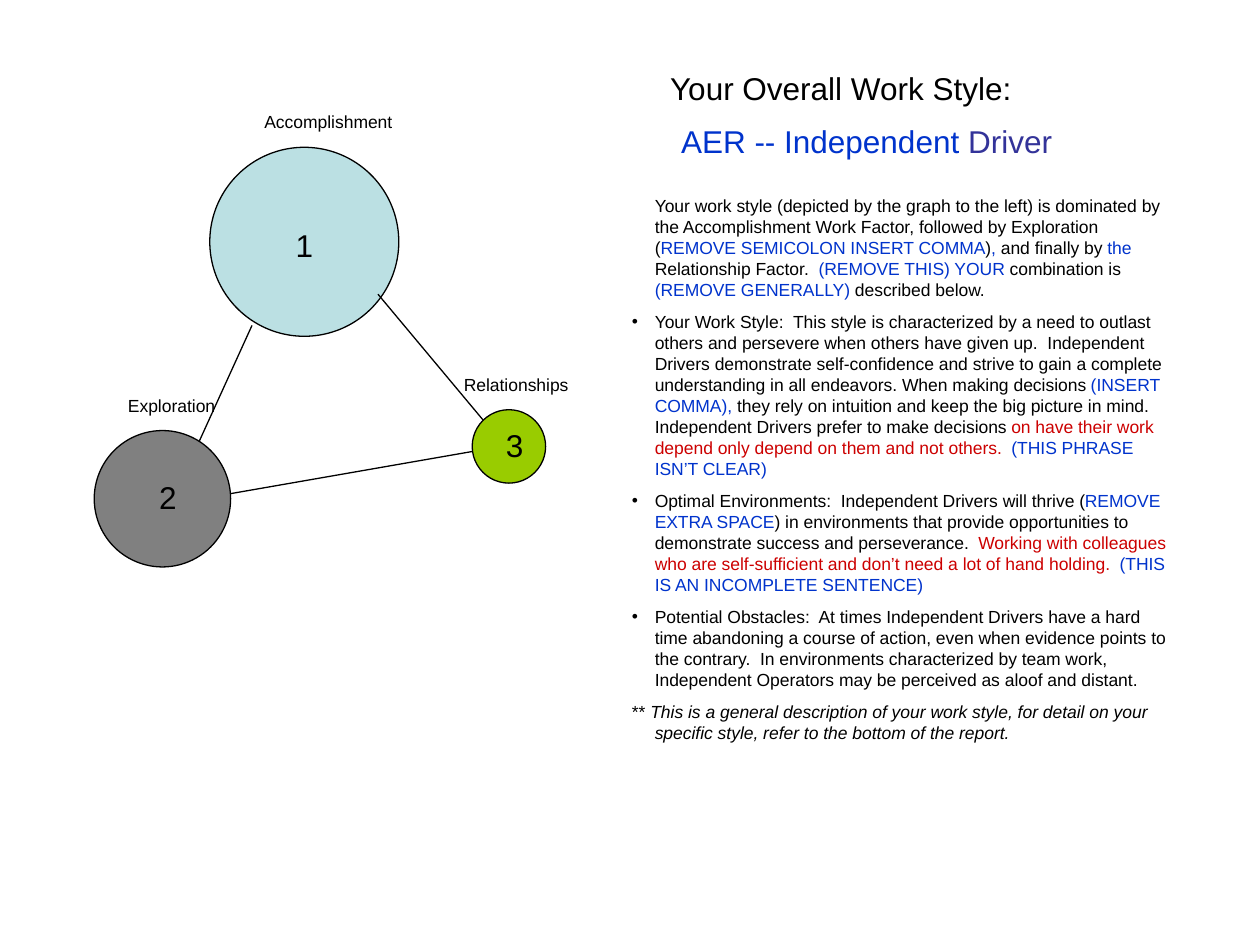
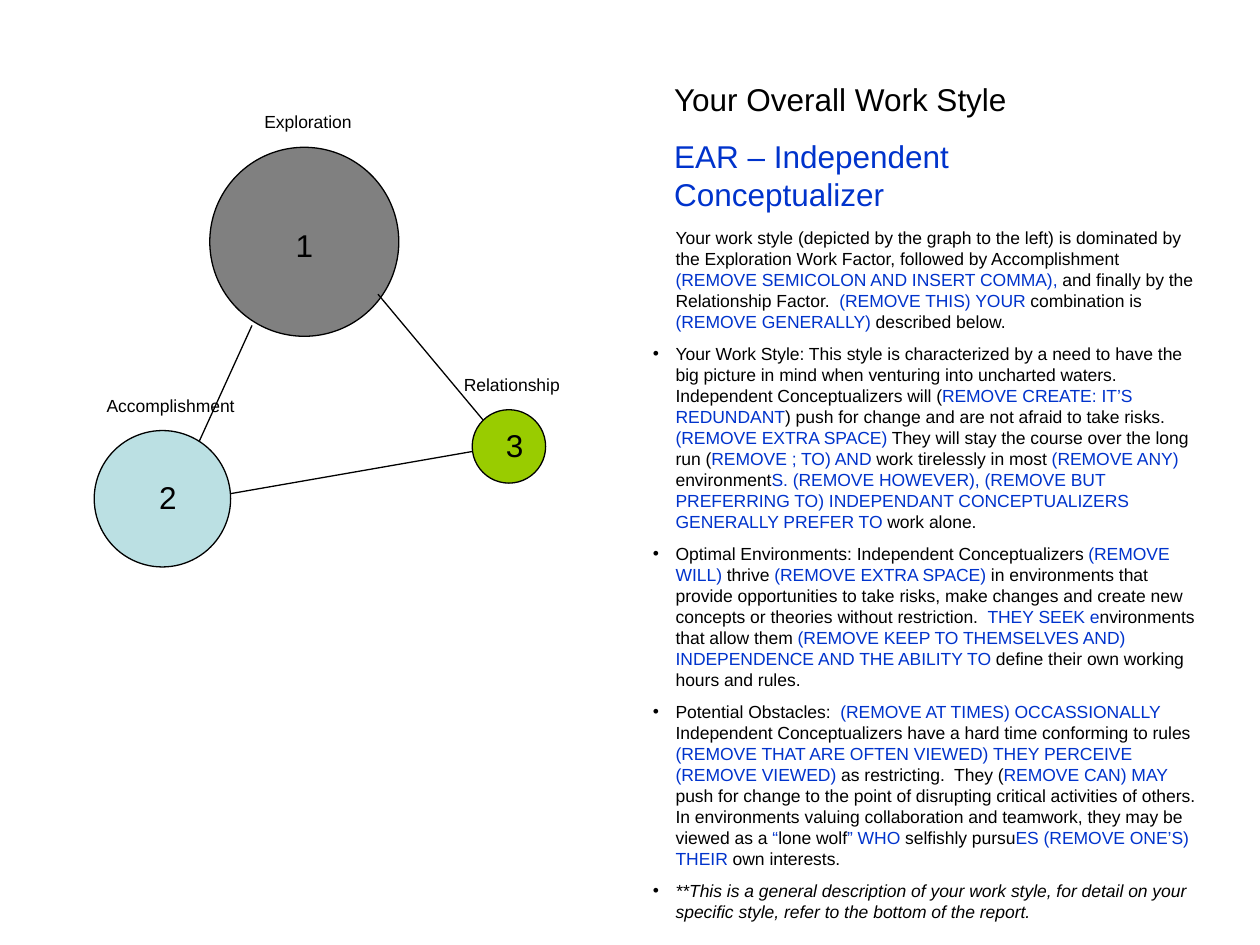
import collections

import lxml.etree
import pptx
import pptx.dml.color
import pptx.enum.shapes
import pptx.enum.text
import pptx.oxml.ns
import pptx.util

Cm = pptx.util.Cm
Pt = pptx.util.Pt
RGBColor = pptx.dml.color.RGBColor

BLACK = RGBColor(0x00, 0x00, 0x00)
BLUE = RGBColor(0x00, 0x33, 0xCC)
INDIGO = RGBColor(0x33, 0x33, 0x99)
RED = RGBColor(0xCC, 0x00, 0x00)
PALE_TEAL = RGBColor(0xBB, 0xE0, 0xE3)
GREY = RGBColor(0x80, 0x80, 0x80)
GREEN = RGBColor(0x99, 0xCC, 0x00)

FONT = "Arial"
BODY_SIZE = 10
TITLE_SIZE = 18
HANG = Cm(0.46)
PLAIN, INTRO, BULLET, HANGING = range(4)

Box = collections.namedtuple("Box", "left top width height")
Factor = collections.namedtuple("Factor", "name colour label_left label_width")
Circle = collections.namedtuple("Circle", "left top size label_top number_left number_top")

GRAPH = Box(1.9, 2.12, 9.11, 9.31)
CIRCLES = [
    Circle(2.33, 0.85, 3.81, 0, 3.81, 2.32),
    Circle(0, 6.56, 2.75, 5.71, 1.06, 7.4),
    Circle(7.62, 6.14, 1.48, 5.29, 8.05, 6.35),
]
LINKS = [
    (3.18, 4.44, 2.12, 6.77),
    (2.76, 7.83, 7.63, 6.98),
    (7.84, 6.35, 5.72, 3.81),
]

DRIVER_FACTORS = [
    Factor("Accomplishment", PALE_TEAL, 3.18, 4.02),
    Factor("Exploration", GREY, 0.43, 2.75),
    Factor("Relationships", GREEN, 7.2, 2.75),
]
DRIVER_TEXT = [
    (INTRO, [
        "Your work style (depicted by the graph to the left) is dominated by the "
        "Accomplishment Work Factor, followed by Exploration (",
        ("REMOVE SEMICOLON INSERT COMMA", BLUE), ")", (",", BLUE),
        " and finally by ", ("the", BLUE), " Relationship Factor.  ",
        ("(REMOVE THIS) YOUR", BLUE), " combination is ",
        ("(REMOVE GENERALLY)", BLUE), " described below.",
    ]),
    (BULLET, [
        "Your Work Style:  This style is characterized by a need to outlast others and "
        "persevere when others have given up.  Independent Drivers demonstrate "
        "self-confidence and strive to gain a complete understanding in all endeavors. "
        "When making decisions ",
        ("(INSERT COMMA),", BLUE),
        " they rely on intuition and keep the big picture in mind.  "
        "Independent Drivers prefer to make decisions ",
        ("on have their work depend only depend on them and not others.  ", RED),
        ("(THIS PHRASE ISN’T CLEAR)", BLUE),
    ]),
    (BULLET, [
        "Optimal Environments:  Independent Drivers will thrive (",
        ("REMOVE EXTRA SPACE", BLUE),
        ") in environments that provide opportunities to demonstrate success and "
        "perseverance.  ",
        ("Working with colleagues who are self-sufficient and don’t need a lot of "
         "hand holding.  ", RED),
        ("(THIS IS AN INCOMPLETE SENTENCE)", BLUE),
    ]),
    (BULLET, [
        "Potential Obstacles:  At times Independent Drivers have a hard time abandoning "
        "a course of action, even when evidence points to the contrary.  In environments "
        "characterized by team work, Independent Operators may be perceived as aloof "
        "and distant.",
    ]),
]

CONCEPTUALIZER_FACTORS = [
    Factor("Exploration", GREY, 3.18, 3.81),
    Factor("Accomplishment", PALE_TEAL, 0, 3.18),
    Factor("Relationship", GREEN, 7.2, 2.75),
]
CONCEPTUALIZER_TEXT = [
    (INTRO, [
        "Your work style (depicted by the graph to the left) is dominated by the "
        "Exploration Work Factor, followed by Accomplishment ",
        ("(REMOVE SEMICOLON AND INSERT COMMA),", BLUE),
        " and finally by the Relationship Factor.  ",
        ("(REMOVE THIS) YOUR", BLUE), " combination is ",
        ("(REMOVE GENERALLY)", BLUE), " described below.",
    ]),
    (BULLET, [
        "Your Work Style: This style is characterized by a need to have the big picture "
        "in mind when venturing into uncharted waters. Independent Conceptualizers will (",
        ("REMOVE CREATE: IT’S REDUNDANT", BLUE),
        ") push for change and are not afraid to take risks. ",
        ("(REMOVE EXTRA SPACE)", BLUE),
        " They will stay the course over the long run (",
        ("REMOVE ; TO) AND", BLUE), " work tirelessly in most ",
        ("(REMOVE ANY)", BLUE), " environment",
        ("S. (REMOVE HOWEVER), (REMOVE BUT PREFERRING TO) INDEPENDANT "
         "CONCEPTUALIZERS GENERALLY PREFER TO", BLUE),
        " work alone.",
    ]),
    (BULLET, [
        "Optimal Environments: Independent Conceptualizers ",
        ("(REMOVE WILL)", BLUE), " thrive ", ("(REMOVE EXTRA SPACE)", BLUE),
        " in environments that provide opportunities to take risks, make changes and "
        "create new concepts or theories without restriction.  ",
        ("THEY SEEK e", BLUE), "nvironments that allow them ",
        ("(REMOVE KEEP TO THEMSELVES AND) INDEPENDENCE AND THE ABILITY TO ", BLUE),
        "define their own working hours and rules.",
    ]),
    (BULLET, [
        "Potential Obstacles:  ", ("(REMOVE AT TIMES) OCCASSIONALLY", BLUE),
        " Independent Conceptualizers have a hard time conforming to rules ",
        ("(REMOVE THAT ARE OFTEN VIEWED) THEY PERCEIVE (REMOVE VIEWED)", BLUE),
        " as restricting.  They (", ("REMOVE CAN) MAY", BLUE),
        " push for change to the point of disrupting critical activities of others. "
        "In environments valuing collaboration and teamwork, they may be viewed as a ",
        ("“", BLUE), "lone wolf", ("” WHO", BLUE), " selfishly pursu",
        ("ES (REMOVE ONE’S) THEIR", BLUE), " own interests.",
    ]),
]
FOOTNOTE = ("This is a general description of your work style, for detail on your "
            "specific style, refer to the bottom of the report.")


def add_bullet(properties):
    for tag, name, value in (("a:buFont", "typeface", FONT), ("a:buChar", "char", "•")):
        element = lxml.etree.SubElement(properties, pptx.oxml.ns.qn(tag))
        element.set(name, value)


def add_text(page, box, paragraphs, size):
    shape = page.shapes.add_textbox(*(Cm(length) for length in box))
    frame = shape.text_frame
    frame.word_wrap = True
    frame.auto_size = pptx.enum.text.MSO_AUTO_SIZE.SHAPE_TO_FIT_TEXT
    for index, (kind, runs) in enumerate(paragraphs):
        para = frame.add_paragraph() if index else frame.paragraphs[0]
        para.space_before = Pt(11.2 if size == TITLE_SIZE else 6.2)
        properties = para._p.get_or_add_pPr()
        if kind != PLAIN:
            properties.set("marL", str(HANG))
            properties.set("indent", str(0 if kind == INTRO else -HANG))
        if kind == BULLET:
            add_bullet(properties)
        for run in runs:
            text, colour, *style = (run, BLACK) if isinstance(run, str) else run
            span = para.add_run()
            span.text = text
            span.font.name = FONT
            span.font.size = Pt(size)
            span.font.color.rgb = colour
            if style:
                span.font.italic = True


def add_circle(page, box, circle, colour):
    shape = page.shapes.add_shape(
        pptx.enum.shapes.MSO_SHAPE.OVAL,
        Cm(box.left + circle.left), Cm(box.top + circle.top),
        Cm(circle.size), Cm(circle.size))
    shape.shadow.inherit = False
    shape.fill.solid()
    shape.fill.fore_color.rgb = colour
    shape.line.color.rgb = BLACK
    shape.line.width = Pt(0.75)


def add_link(page, box, link):
    x1, y1, x2, y2 = link
    line = page.shapes.add_connector(
        pptx.enum.shapes.MSO_CONNECTOR.STRAIGHT,
        Cm(box.left + x1), Cm(box.top + y1), Cm(box.left + x2), Cm(box.top + y2))
    line.line.color.rgb = BLACK
    line.line.width = Pt(0.75)
    lxml.etree.SubElement(line._element.spPr, pptx.oxml.ns.qn("a:effectLst"))


def add_graph(page, box, factors):
    for circle, factor in zip(CIRCLES, factors):
        add_circle(page, box, circle, factor.colour)
    for link in LINKS:
        add_link(page, box, link)
    for number, (circle, factor) in enumerate(zip(CIRCLES, factors), 1):
        label = Box(box.left + factor.label_left, box.top + circle.label_top,
                    factor.label_width, 0.69)
        add_text(page, label, [(PLAIN, [factor.name])], BODY_SIZE)
        place = Box(box.left + circle.number_left, box.top + circle.number_top, 0.64, 1.02)
        add_text(page, place, [(PLAIN, [str(number)])], TITLE_SIZE)


def add_style_page(deck, factors, headings, body_box, body):
    page = deck.slides.add_slide(deck.slide_layouts[6])
    add_graph(page, GRAPH, factors)
    for box, lines in headings:
        add_text(page, box, [(PLAIN, line) for line in lines], TITLE_SIZE)
    add_text(page, body_box, body, BODY_SIZE)


def main():
    deck = pptx.Presentation()
    deck.slide_width, deck.slide_height = Cm(25.4), Cm(19.05)
    add_style_page(
        deck, DRIVER_FACTORS,
        [(Box(13.26, 1.27, 9.73, 1.02), [["Your Overall Work Style:"]]),
         (Box(13.48, 2.33, 9.73, 1.02),
          [[("AER -- Independent", BLUE), (" Driver", INDIGO)]])],
        Box(12.49, 3.81, 11.43, 11.33),
        DRIVER_TEXT + [(HANGING, ["** ", (FOOTNOTE, BLACK, "italic")])])
    add_style_page(
        deck, CONCEPTUALIZER_FACTORS,
        [(Box(13.34, 1.48, 9.73, 2.95),
          [["Your Overall Work Style"], [("EAR – Independent Conceptualizer", BLUE)]])],
        Box(12.91, 4.45, 11.43, 14.94),
        CONCEPTUALIZER_TEXT + [(BULLET, [("**" + FOOTNOTE, BLACK, "italic")])])
    deck.save("out.pptx")


if __name__ == "__main__":
    main()
